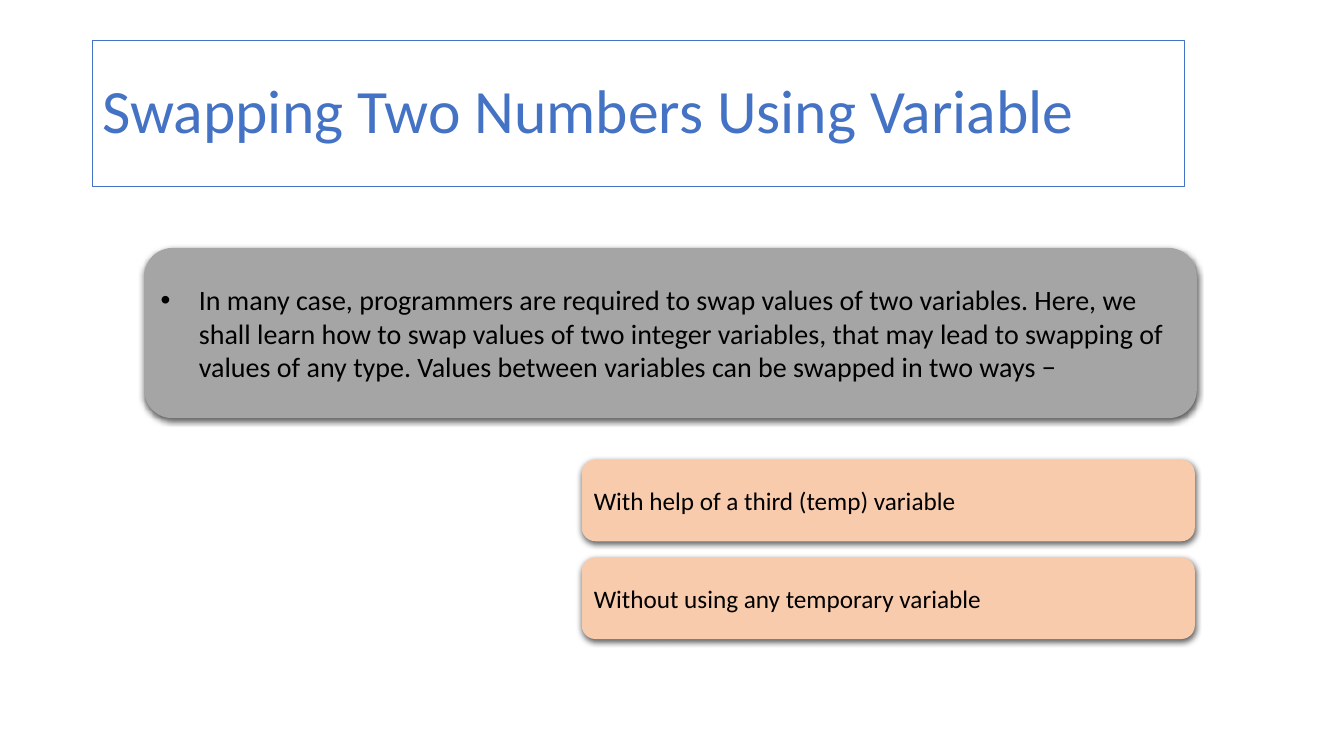
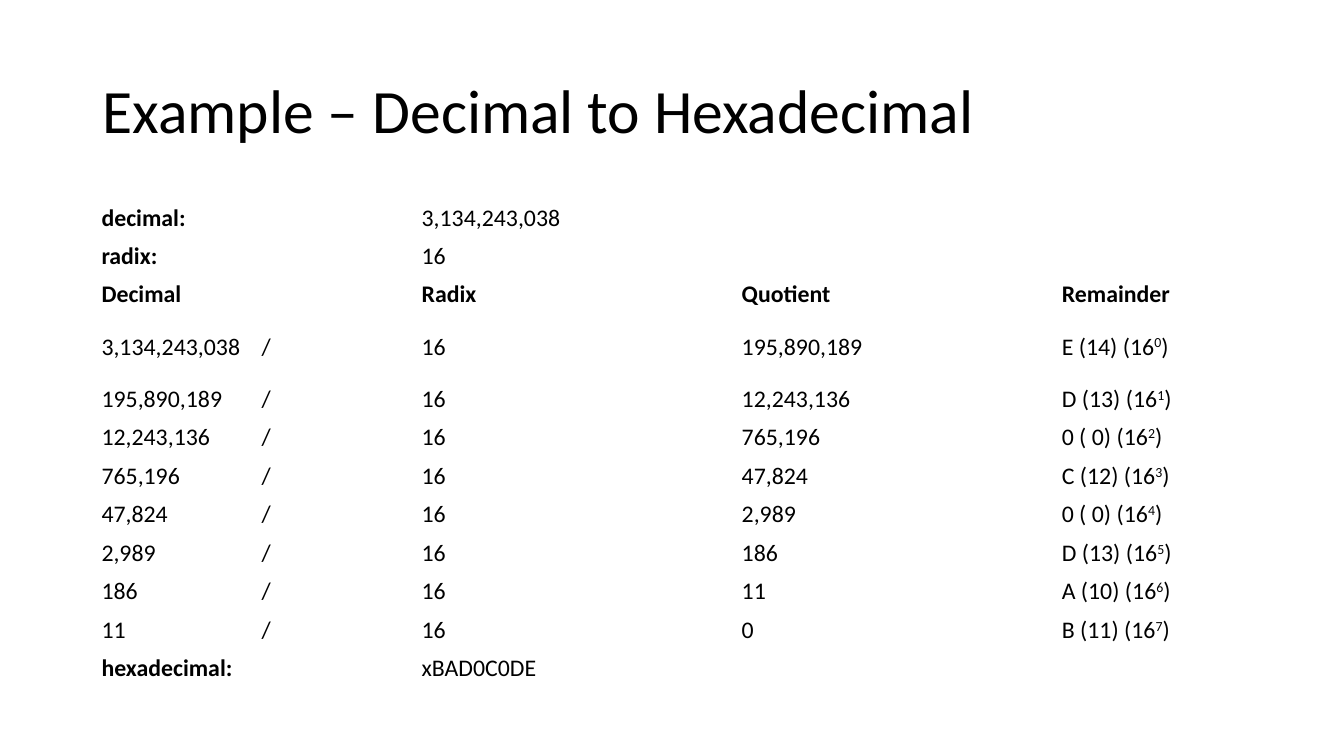
from lxml import etree
from pptx import Presentation, util as u
from pptx.dml.color import RGBColor
from pptx.enum import shapes, text
from pptx.oxml import ns

BLACK, WHITE, BLUE, GREY, PEACH = "000000", "FFFFFF", "4472C4", "A5A5A5", "F8CBAD"
RADIX = 16


def color(value):
    return RGBColor.from_string(value)


def add_xml(parent, tag, **attributes):
    names = {key: str(value) for key, value in attributes.items()}
    return etree.SubElement(parent, ns.qn(tag), names)


class Deck:
    FONT = "Calibri"
    TITLE_SIZE, CELL_SIZE = 44, 17
    LEFT, TITLE_TOP, TITLE_HEIGHT = 6.88, 5.33, 19.33
    CARD_INSET = u.Inches(0.08)

    def __init__(self):
        self.prs = Presentation()
        self.prs.slide_width, self.prs.slide_height = u.Inches(13.33), u.Inches(7.5)
        self.slide = None

    def box(self, left, top, width, height):
        """Turn percentages of the slide's size into lengths."""
        across, down = self.prs.slide_width / 100, self.prs.slide_height / 100
        return [int(share * unit) for share, unit in
                zip((left, top, width, height), (across, down, across, down))]

    def style(self, run, size, ink=BLACK, bold=False):
        run.font.name, run.font.size, run.font.bold = self.FONT, u.Pt(size), bold
        run.font.color.rgb = color(ink)

    def add_slide(self, heading, width, ink=BLACK, border=None):
        self.slide = self.prs.slides.add_slide(self.prs.slide_layouts[5])
        title = self.slide.shapes.title
        title.left, title.top, title.width, title.height = self.box(
            self.LEFT, self.TITLE_TOP, width, self.TITLE_HEIGHT)
        if border:
            title.line.color.rgb = color(border)
            title.line.width = u.Pt(0.75)
        frame = title.text_frame
        frame.text = heading
        frame.auto_size = text.MSO_AUTO_SIZE.NONE
        frame.vertical_anchor = text.MSO_ANCHOR.MIDDLE
        paragraph = frame.paragraphs[0]
        paragraph.alignment = text.PP_ALIGN.LEFT
        paragraph.line_spacing = 0.9
        self.style(paragraph.runs[0], self.TITLE_SIZE, ink)

    def add_card(self, wording, place, fill, size, bullet=False):
        card = self.slide.shapes.add_shape(
            shapes.MSO_SHAPE.ROUNDED_RECTANGLE, *self.box(*place))
        card.fill.solid()
        card.fill.fore_color.rgb = color(fill)
        card.line.fill.background()
        self.add_shadow(card)
        frame = card.text_frame
        frame.text = wording
        frame.word_wrap = True
        frame.vertical_anchor = text.MSO_ANCHOR.MIDDLE
        frame.margin_left = frame.margin_right = self.CARD_INSET
        frame.margin_top = frame.margin_bottom = self.CARD_INSET
        paragraph = frame.paragraphs[0]
        paragraph.alignment = text.PP_ALIGN.LEFT
        self.style(paragraph.runs[0], size)
        if bullet:
            properties = paragraph._p.get_or_add_pPr()
            indent = u.Inches(0.38)
            properties.set("marL", str(indent))
            properties.set("indent", str(-indent))
            add_xml(properties, "a:buFont", typeface="Arial")
            add_xml(properties, "a:buChar", char="•")

    def add_shadow(self, shape):
        shape.shadow.inherit = False
        effects = shape._element.spPr.find(ns.qn("a:effectLst"))
        shadow = add_xml(effects, "a:outerShdw", blurRad=u.Pt(4.5), dist=u.Pt(1.5),
                         dir=90 * 60000, algn="ctr", rotWithShape=0)
        add_xml(add_xml(shadow, "a:srgbClr", val=BLACK), "a:alpha", val=63000)

    def fill_cell(self, cell, wording, bold):
        """Write the wording; what stands between ^ marks is raised."""
        cell.fill.solid()
        cell.fill.fore_color.rgb = color(WHITE)
        cell.vertical_anchor = text.MSO_ANCHOR.MIDDLE
        cell.margin_left = cell.margin_right = u.Inches(0.09)
        cell.margin_top = cell.margin_bottom = u.Inches(0.04)
        paragraph = cell.text_frame.paragraphs[0]
        if not wording:
            add_xml(paragraph._p, "a:endParaRPr", sz=self.CELL_SIZE * 100)
            return
        for index, part in enumerate(wording.split("^")):
            run = paragraph.add_run()
            run.text = part
            self.style(run, self.CELL_SIZE, bold=bold)
            if index % 2:
                run.font._element.set("baseline", "30000")

    def add_table(self, rows, columns, place, heights):
        """Draw rows of cells; a row of two is a label and its value, each merged."""
        table = self.slide.shapes.add_table(len(rows), columns, *self.box(*place)).table
        table.first_row = table.horz_banding = False
        for row_index, (wordings, bold_cells) in enumerate(rows):
            table.rows[row_index].height = u.Pt(heights[row_index])
            if len(wordings) == 2:
                label, value = wordings
                wordings = [label, "", value] + [""] * (columns - 3)
                for first, last in ((0, 1), (2, columns - 1)):
                    table.cell(row_index, first).merge(table.cell(row_index, last))
            for column, wording in enumerate(wordings):
                self.fill_cell(table.cell(row_index, column), wording, column in bold_cells)


def division_rows(number):
    """Divide by the radix until nothing is left, one row for each step."""
    rows, power = [], 0
    while number:
        quotient, digit = divmod(number, RADIX)
        remainder = f"{digit:X} ({digit:2})\u00a0({RADIX}^{power}^)"
        rows.append(([f"{number:,}", "/", str(RADIX), "", f"{quotient:,}", "", remainder], ()))
        number, power = quotient, power + 1
    return rows


def swapping_slide(deck):
    deck.add_slide("Swapping Two Numbers Using Variable", 81.25, BLUE, border=BLUE)
    deck.add_card(
        "In many case, programmers are required to swap values of two variables. "
        "Here, we shall learn how to swap values of two integer variables, that may "
        "lead to swapping of values of any type. Values between variables can be "
        "swapped in two ways −",
        (10.73, 32.8, 78.32, 22.53), GREY, 20, bullet=True)
    ways = ("With help of a third (temp) variable", "Without using any temporary variable")
    for index, way in enumerate(ways):
        deck.add_card(way, (43.29, 60.8 + index * 12.93, 45.61, 10.8), PEACH, 18)


def hexadecimal_slide(deck):
    number = 3134243038
    deck.add_slide("Example – Decimal to Hexadecimal", 86.27)
    rows = [
        (["decimal:", f"{number:,}"], (0,)),
        (["radix:", str(RADIX)], (0,)),
        (["Decimal", "", "Radix", "", "Quotient", "", "Remainder"], range(7)),
        *division_rows(number),
        (["hexadecimal:", f"x{number:X}"], (0,)),
    ]
    heights = [27.5] * len(rows)
    heights[3] = 47
    deck.add_table(rows, 7, (deck.LEFT, 26.27, 83.37, 64), heights)


def main():
    deck = Deck()
    swapping_slide(deck)
    hexadecimal_slide(deck)
    deck.prs.save("out.pptx")


if __name__ == "__main__":
    main()
